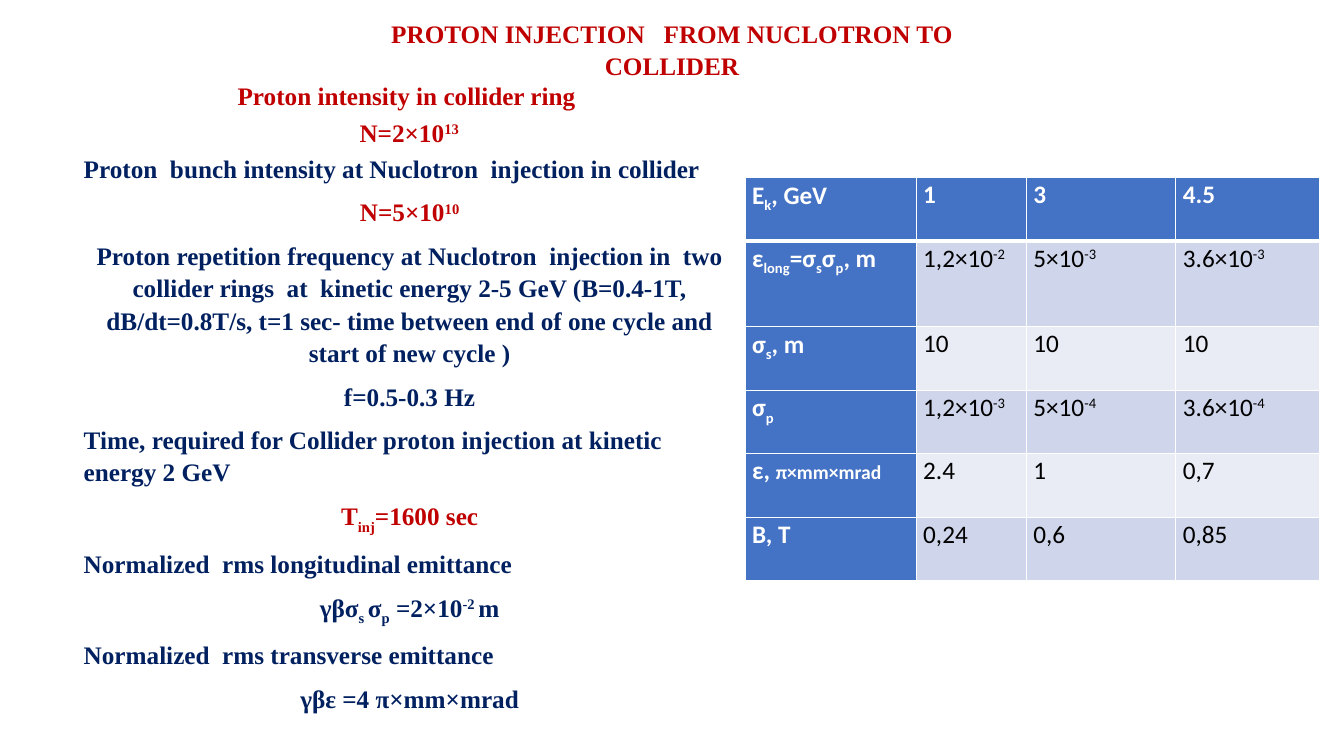
from dataclasses import dataclass

from lxml import etree
from pptx import Presentation
from pptx import util as u
from pptx.dml import color
from pptx.enum import text
from pptx.oxml import ns

RED, NAVY, WHITE, BLACK = "C00000", "002060", "FFFFFF", "000000"
HEADER, DARK_BAND, LIGHT_BAND = "4472C4", "CFD5EA", "E9EBF5"
SERIF, SANS = "Times New Roman", "Calibri"
LEFT, CENTER = text.PP_ALIGN.LEFT, text.PP_ALIGN.CENTER
BASELINES = {"^": "30000", "_": "-25000"}
SMALL_MARK = "~"


@dataclass
class Area:
    left: float
    top: float
    width: float
    height: float


@dataclass
class Line:
    content: str
    color: str = NAVY
    align: text.PP_ALIGN = LEFT


@dataclass
class Label:
    area: Area
    line: Line


TITLE_AREA = Area(25, 1.47, 50, 9.73)
BODY_AREA = Area(5.48, 19.33, 50, 75.33)
TABLE_AREA = Area(55.43, 23.5, 42.76, 53.33)
COLUMN_SHARES = [12.74, 8.2, 11.12, 10.7]
ROW_SHARES = [8.4, 11.33, 8.4, 8.4, 8.4, 8.4]

TITLE = Line("PROTON INJECTION   FROM NUCLOTRON TO COLLIDER", RED, CENTER)
LABELS = [
    Label(Area(16.8, 9.75, 27.38, 5.4), Line("Proton intensity in collider ring ", RED, CENTER)),
    Label(Area(25.95, 14.55, 9, 5.4), Line("N=2×10|^13", RED, CENTER)),
]
BODY_LINES = [
    Line("Proton  bunch intensity at Nuclotron  injection in collider"),
    Line("N=5×10|^10", RED, CENTER),
    Line(
        "Proton repetition frequency at Nuclotron  injection in  two collider rings  at  "
        "kinetic energy 2-5 GeV (B=0.4-1T, dB/dt=0.8T/s, t=1 sec- time between end of one "
        "cycle and start of new cycle )",
        align=CENTER,
    ),
    Line("f=0.5-0.3 Hz", align=CENTER),
    Line("Time, required for Collider proton injection at kinetic energy 2 GeV"),
    Line("T|_inj|=1600 sec", RED, CENTER),
    Line("Normalized  rms longitudinal emittance"),
    Line("γβσ|_s |σ|_p| =2×10|^-2 |m", align=CENTER),
    Line("Normalized  rms transverse emittance"),
    Line("γβε =4 π×mm×mrad", align=CENTER),
]
TABLE_ROWS = [
    ["E|_k|, GeV", "1", "3", "4.5"],
    ["ε|_long|=σ|_s|σ|_p|, m", "1,2×10|^-2", "5×10|^-3", "3.6×10|^-3"],
    ["σ|_s|, m", "10", "10", "10"],
    ["σ|_p", "1,2×10|^-3", "5×10|^-4", "3.6×10|^-4"],
    ["ε, |~π×mm×mrad", "2.4", "1", "0,7"],
    ["B, T", "0,24", "0,6", "0,85"],
]

presentation = Presentation()
presentation.slide_width, presentation.slide_height = u.Inches(13.33), u.Inches(7.5)


def rgb(value: str) -> color.RGBColor:
    return color.RGBColor.from_string(value)


def across(share: float) -> int:
    return round(presentation.slide_width * share / 100)


def down(share: float) -> int:
    return round(presentation.slide_height * share / 100)


def bounds(area: Area) -> tuple:
    return across(area.left), down(area.top), across(area.width), down(area.height)


def write(paragraph, content: str, *, color: str = NAVY, font: str = SERIF, size: float = 18,
          bold: bool = True, align=LEFT, after: float = 8) -> None:
    paragraph.alignment = align
    paragraph.line_spacing = 1.07
    paragraph.space_before, paragraph.space_after = u.Pt(0), u.Pt(after)
    for piece in content.split("|"):
        mark = piece[0] if piece[0] in (*BASELINES, SMALL_MARK) else ""
        run = paragraph.add_run()
        run.text = piece[len(mark):]
        run.font.name, run.font.bold = font, bold
        run.font.size = u.Pt(14 if mark == SMALL_MARK else size)
        run.font.color.rgb = rgb(color)
        if mark in BASELINES:
            run._r.get_or_add_rPr().set("baseline", BASELINES[mark])


def fill_text(shape, lines: list[Line], wrap: bool = True) -> None:
    frame = shape.text_frame
    frame.word_wrap = wrap
    frame.auto_size = text.MSO_AUTO_SIZE.SHAPE_TO_FIT_TEXT
    frame.vertical_anchor = text.MSO_ANCHOR.TOP
    for index, line in enumerate(lines):
        paragraph = frame.add_paragraph() if index else frame.paragraphs[0]
        if shape.is_placeholder:
            properties = paragraph._p.get_or_add_pPr()
            properties.set("marL", "0")
            properties.set("indent", "0")
            etree.SubElement(properties, ns.qn("a:buNone"))
        write(paragraph, line.content, color=line.color, align=line.align)


def place(shape, area: Area) -> None:
    shape.left, shape.top, shape.width, shape.height = bounds(area)


def add_borders(cell, widths: dict[str, float]) -> None:
    properties = cell._tc.get_or_add_tcPr()
    for index, (side, width) in enumerate(widths.items()):
        border = etree.Element(ns.qn(f"a:ln{side}"), w=str(u.Pt(width)))
        solid = etree.SubElement(border, ns.qn("a:solidFill"))
        etree.SubElement(solid, ns.qn("a:srgbClr"), val=WHITE)
        properties.insert(index, border)


def add_parameter_table(slide) -> None:
    table = slide.shapes.add_table(len(ROW_SHARES), len(COLUMN_SHARES), *bounds(TABLE_AREA)).table
    table.first_col = True
    for column, share in zip(table.columns, COLUMN_SHARES):
        column.width = across(share)
    for row, share in zip(table.rows, ROW_SHARES):
        row.height = down(share)
    for row_index, contents in enumerate(TABLE_ROWS):
        band = DARK_BAND if row_index % 2 else LIGHT_BAND
        for column_index, content in enumerate(contents):
            heading = row_index == 0 or column_index == 0
            cell = table.cell(row_index, column_index)
            cell.margin_left = cell.margin_right = u.Inches(0.07)
            cell.margin_top = cell.margin_bottom = 0
            cell.fill.solid()
            cell.fill.fore_color.rgb = rgb(HEADER if heading else band)
            add_borders(cell, {"L": 1, "R": 1, "T": 3 if row_index == 1 else 1,
                               "B": 3 if row_index == 0 else 1})
            write(cell.text_frame.paragraphs[0], content, font=SANS, bold=heading,
                  color=WHITE if heading else BLACK, after=0)


def main() -> None:
    slide = presentation.slides.add_slide(presentation.slide_layouts[1])
    title, body = slide.shapes.title, slide.placeholders[1]
    place(title, TITLE_AREA)
    fill_text(title, [TITLE])
    place(body, BODY_AREA)
    fill_text(body, BODY_LINES)
    for label in LABELS:
        fill_text(slide.shapes.add_textbox(*bounds(label.area)), [label.line], wrap=False)
    add_parameter_table(slide)
    presentation.save("out.pptx")


if __name__ == "__main__":
    main()
